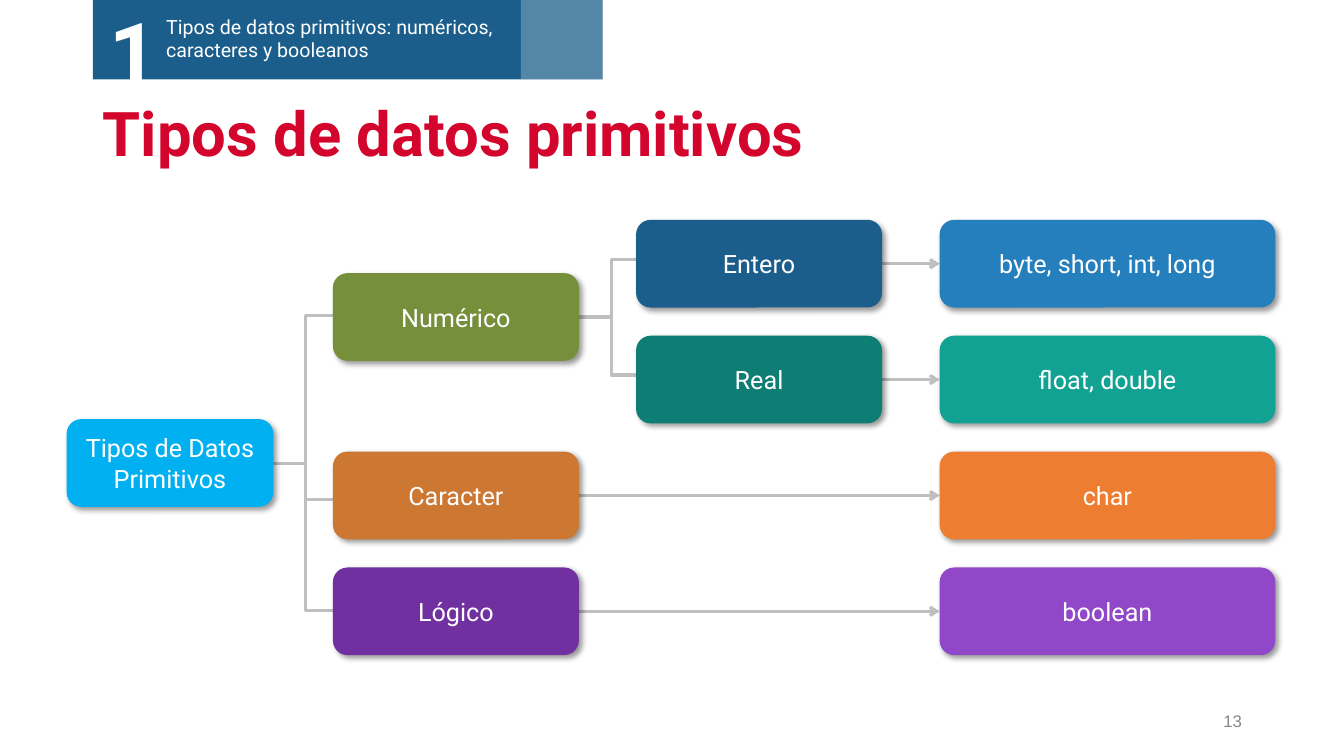
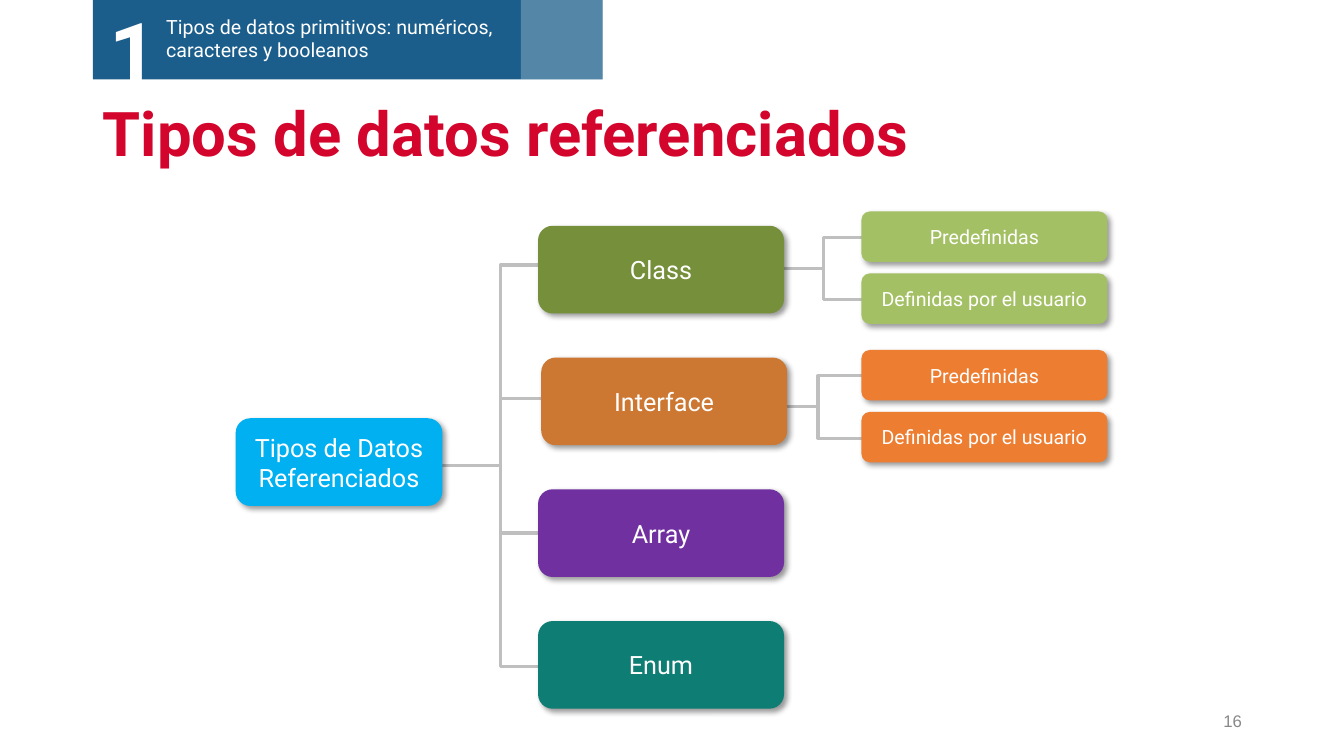
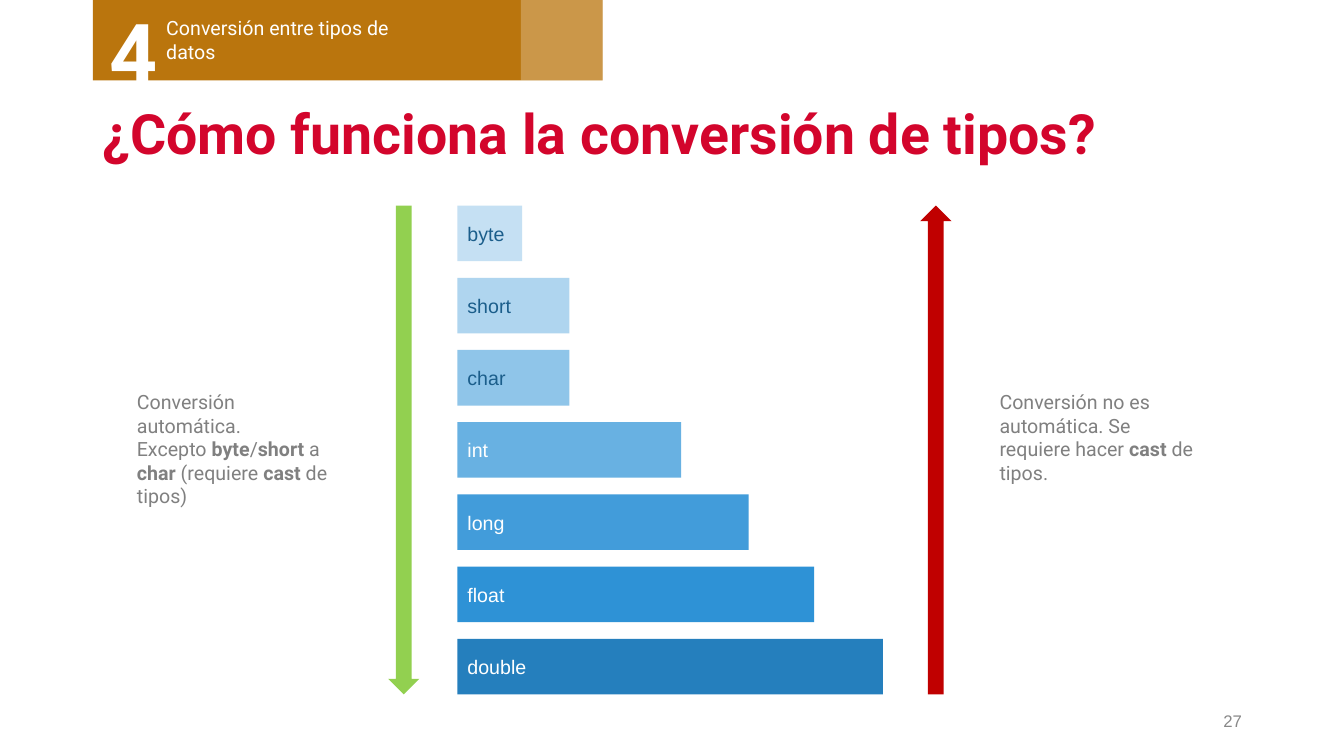
from typing import NamedTuple

from lxml import etree
from pptx import Presentation
from pptx.dml.color import RGBColor
from pptx.enum.shapes import MSO_CONNECTOR, MSO_SHAPE
from pptx.enum.text import MSO_ANCHOR, PP_ALIGN
from pptx.oxml.ns import qn
from pptx.util import Cm, Pt

RECTANGLE = MSO_SHAPE.RECTANGLE
ROUNDED = MSO_SHAPE.ROUNDED_RECTANGLE
BRACE = MSO_SHAPE.LEFT_BRACE
DOWN_ARROW = MSO_SHAPE.DOWN_ARROW
UP_ARROW = MSO_SHAPE.UP_ARROW
STRAIGHT = MSO_CONNECTOR.STRAIGHT
LEFT, CENTER, RIGHT = PP_ALIGN.LEFT, PP_ALIGN.CENTER, PP_ALIGN.RIGHT
TOP, MIDDLE = MSO_ANCHOR.TOP, MSO_ANCHOR.MIDDLE

HEADING_FONT = "Roboto"
PLAIN_FONT = "Arial"
WHITE = "FFFFFF"
RED = "D3052C"
NAVY = "1B5E8B"
OCHRE = "BA750D"
SKY = "00B0F0"
BLUE = "257FBD"
OLIVE = "758F3A"
LIME = "A4C064"
BROWN = "CC7832"
ORANGE = "ED7D31"
PURPLE = "7030A0"
VIOLET = "9148C8"
TEAL = "0E7D73"
MINT = "12A294"
LINE_GRAY = "BFBFBF"
NOTE_GRAY = "808080"
NUMBER_GRAY = "888888"

CARD_WIDTH, CARD_HEIGHT, ROOT_WIDTH = 6.2, 2.21, 5.21
LINE_WIDTH = 2.25


class Box(NamedTuple):
    left: float
    top: float
    width: float
    height: float

    def inner(self, left, top, width, height):
        return Box(self.left + left, self.top + top, width, height)

    def lengths(self):
        return [Cm(value) for value in self]


TITLE_BOX = Box(2.34, 2.36, 29.21, 2.18)
NUMBER_BOX = Box(23.93, 17.65, 7.62, 1.02)


def color(value):
    return RGBColor.from_string(value)


def write(shape, paragraphs, size, ink, font=HEADING_FONT, align=LEFT, anchor=TOP, spacing=None):
    frame = shape.text_frame
    frame.word_wrap = True
    frame.vertical_anchor = anchor
    for index, runs in enumerate(paragraphs):
        paragraph = frame.add_paragraph() if index else frame.paragraphs[0]
        paragraph.alignment = align
        if spacing:
            paragraph.line_spacing = spacing
        for words, bold in runs:
            run = paragraph.add_run()
            run.text = words
            run.font.size = Pt(size)
            run.font.name = font
            run.font.bold = bold
            run.font.color.rgb = color(ink)


def add_text(slide, box, paragraphs, size, ink, **style):
    write(slide.shapes.add_textbox(*box.lengths()), paragraphs, size, ink, **style)


def add_block(slide, kind, box, fill):
    block = slide.shapes.add_shape(kind, *box.lengths())
    block.shadow.inherit = False
    block.fill.solid()
    block.fill.fore_color.rgb = color(fill)
    block.line.fill.background()
    return block


def add_card(slide, box, label, fill, size=18):
    card = add_block(slide, ROUNDED, box, fill)
    effects = card.element.spPr.find(qn("a:effectLst"))
    shadow = etree.SubElement(effects, qn("a:outerShdw"), blurRad="50800", dist="38100",
                              dir="2700000", algn="tl", rotWithShape="0")
    tone = etree.SubElement(shadow, qn("a:srgbClr"), val="000000")
    etree.SubElement(tone, qn("a:alpha"), val="40000")
    write(card, [[(label, False)]], size, WHITE, align=CENTER, anchor=MIDDLE)


def add_bracket(slide, box):
    bracket = slide.shapes.add_shape(BRACE, *box.lengths())
    bracket.shadow.inherit = False
    bracket.adjustments[0] = 0
    bracket.adjustments[1] = 0.5
    bracket.fill.background()
    bracket.line.color.rgb = color(LINE_GRAY)
    bracket.line.width = Pt(LINE_WIDTH)


def add_branch(slide, start, end, y, arrow=False):
    branch = slide.shapes.add_connector(STRAIGHT, Cm(start), Cm(y), Cm(end), Cm(y))
    branch.line.color.rgb = color(LINE_GRAY)
    branch.line.width = Pt(LINE_WIDTH)
    properties = branch.element.spPr
    if arrow:
        etree.SubElement(properties.find(qn("a:ln")), qn("a:tailEnd"), type="arrow")
    etree.SubElement(properties, qn("a:effectLst"))


def add_banner(slide, box, number, topic, topic_width, fill):
    add_block(slide, RECTANGLE, box, fill)
    add_text(slide, box.inner(1.6, 0.28, topic_width, 1.45), [[(topic, False)]], 14, WHITE)
    add_text(slide, box.inner(0.18, -0.1, 2.84, 2.82), [[(number, True)]], 60, WHITE)
    accent = add_block(slide, RECTANGLE, box.inner(box.width - 2.06, 0, 2.06, box.height), WHITE)
    tone = accent.element.spPr.find(qn("a:solidFill")).find(qn("a:srgbClr"))
    etree.SubElement(tone, qn("a:alpha"), val="25000")


def add_page(deck, title, number, title_size=44):
    slide = deck.slides.add_slide(deck.slide_layouts[6])
    add_text(slide, TITLE_BOX, [[(title, True)]], title_size, RED, anchor=MIDDLE, spacing=0.9)
    add_text(slide, NUMBER_BOX, [[(number, False)]], 12, NUMBER_GRAY,
             font=PLAIN_FONT, align=RIGHT, anchor=MIDDLE)
    return slide


def add_primitive_tree(slide, box):
    pitch = (box.height - CARD_HEIGHT) / 3
    kind_left, number_left, example_left = 6.71, 14.35, 22
    example_width = box.width - example_left
    examples = [
        ("byte, short, int, long", BLUE, number_left),
        ("float, double", MINT, number_left),
        ("char", ORANGE, kind_left),
        ("boolean", VIOLET, kind_left),
    ]
    cards = [
        ("Entero", NAVY, number_left, 0, CARD_WIDTH),
        ("Real", TEAL, number_left, 1, CARD_WIDTH),
        ("Numérico", OLIVE, kind_left, 0.46, CARD_WIDTH),
        ("Caracter", BROWN, kind_left, 2, CARD_WIDTH),
        ("Lógico", PURPLE, kind_left, 3, CARD_WIDTH),
        ("Tipos de Datos Primitivos", SKY, 0, 1.72, ROOT_WIDTH),
    ]
    add_bracket(slide, box.inner(12.93, 0.99, 1.6, pitch))
    add_bracket(slide, box.inner(ROOT_WIDTH, 2.41, 1.6, 7.44))
    add_branch(slide, box.left + 5.97, box.left + kind_left, box.top + 7.04)
    for row, (label, fill, source_left) in enumerate(examples):
        middle = box.top + row * pitch + CARD_HEIGHT / 2
        add_branch(slide, box.left + source_left + CARD_WIDTH - 0.6,
                   box.left + example_left, middle, arrow=True)
        add_card(slide, box.inner(example_left, row * pitch, example_width, CARD_HEIGHT),
                 label, fill)
    for label, fill, left, row, width in cards:
        add_card(slide, box.inner(left, row * pitch, width, CARD_HEIGHT), label, fill)


def add_reference_tree(slide, box):
    kind_left, kind_top = 7.62, 0.36
    pitch = (box.height - kind_top - CARD_HEIGHT) / 3
    kinds = [("Class", OLIVE, 0), ("Interface", BROWN, 0.08), ("Array", PURPLE, 0), ("Enum", TEAL, 0)]
    origins = [(0, 13.13, LIME), (3.49, 13, ORANGE)]
    add_bracket(slide, box.inner(5, 1.35, 3.35, 10.11))
    for top, bracket_left, fill in origins:
        add_bracket(slide, box.inner(bracket_left, top + 0.65, 3.35, 1.57))
        for row, label in enumerate(("Predefinidas", "Definidas por el usuario")):
            add_card(slide, box.inner(box.width - CARD_WIDTH, top + row * 1.56, CARD_WIDTH, 1.27),
                     label, fill, size=14)
    for y in (4.72, 8.1):
        add_branch(slide, box.left + 6.68, box.left + 8.56, box.top + y)
    for row, (label, fill, shift) in enumerate(kinds):
        add_card(slide, box.inner(kind_left + shift, kind_top + row * pitch, CARD_WIDTH, CARD_HEIGHT),
                 label, fill)
    add_card(slide, box.inner(0, 5.21, ROOT_WIDTH, CARD_HEIGHT), "Tipos de Datos Referenciados", SKY)


def add_size_ladder(slide, box):
    bar_height = 1.4
    bars = [
        ("byte", 1.63, "C5E0F3", NAVY),
        ("short", 2.82, "AFD5EF", NAVY),
        ("char", 2.82, "8FC5E9", NAVY),
        ("int", 5.64, "68B1E2", WHITE),
        ("long", 7.34, "429CDA", WHITE),
        ("float", 8.99, "2E92D6", WHITE),
        ("double", box.width, BLUE, WHITE),
    ]
    pitch = (box.height - bar_height) / (len(bars) - 1)
    for row, (label, width, fill, ink) in enumerate(bars):
        bar = add_block(slide, RECTANGLE, box.inner(0, row * pitch, width, bar_height), fill)
        write(bar, [[(label, False)]], 14, ink, font=PLAIN_FONT, anchor=MIDDLE)


def add_direction(slide, box, kind, fill, note_left, note):
    add_block(slide, kind, box, fill)
    add_text(slide, box.inner(note_left, 4.52, 5.61, 3.25), note, 14, NOTE_GRAY)


def build_primitive_slide(deck):
    slide = add_page(deck, "Tipos de datos primitivos", "13")
    add_types_banner(slide)
    add_primitive_tree(slide, Box(1.68, 5.54, 30.46, 10.97))


def build_reference_slide(deck):
    slide = add_page(deck, "Tipos de datos referenciados", "16")
    add_types_banner(slide)
    add_reference_tree(slide, Box(5.94, 5.33, 21.97, 12.53))


def add_types_banner(slide):
    add_banner(slide, Box(2.34, -0.03, 12.85, 2.03), "1",
               "Tipos de datos primitivos: numéricos, caracteres y booleanos", 8.99, NAVY)


def build_conversion_slide(deck):
    slide = add_page(deck, "¿Cómo funciona la conversión de tipos?", "27", title_size=39.6)
    add_banner(slide, Box(2.34, 0, 12.85, 2.03), "4", "Conversión entre tipos de datos", 6.99, OCHRE)
    ladder = Box(11.53, 5.18, 10.72, 12.32)
    add_size_ladder(slide, ladder)
    automatic = [
        [("Conversión automática.", False)],
        [("Excepto ", False), ("byte", True), ("/", False), ("short", True), (" a ", False),
         ("char", True), (" (requiere ", False), ("cast", True), (" de tipos)", False)],
    ]
    manual = [[("Conversión no es automática. Se requiere hacer ", False),
               ("cast", True), (" de tipos.", False)]]
    add_direction(slide, ladder.inner(-1.75, 0, 0.79, ladder.height),
                  DOWN_ARROW, "92D050", -6.58, automatic)
    add_direction(slide, ladder.inner(11.66, 0, 0.79, ladder.height),
                  UP_ARROW, "C00000", 1.75, manual)


def main():
    deck = Presentation()
    deck.slide_width = Cm(33.87)
    deck.slide_height = Cm(19.05)
    build_primitive_slide(deck)
    build_reference_slide(deck)
    build_conversion_slide(deck)
    deck.save("out.pptx")


if __name__ == "__main__":
    main()
